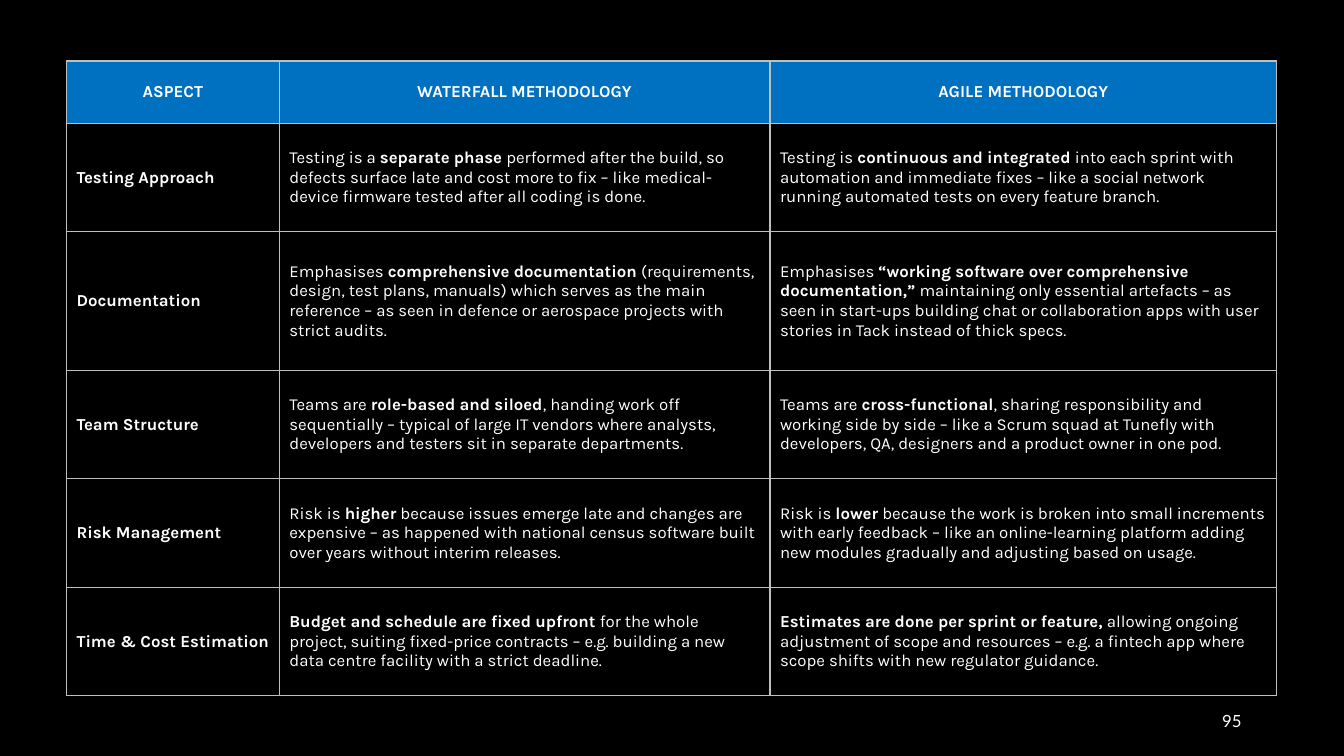
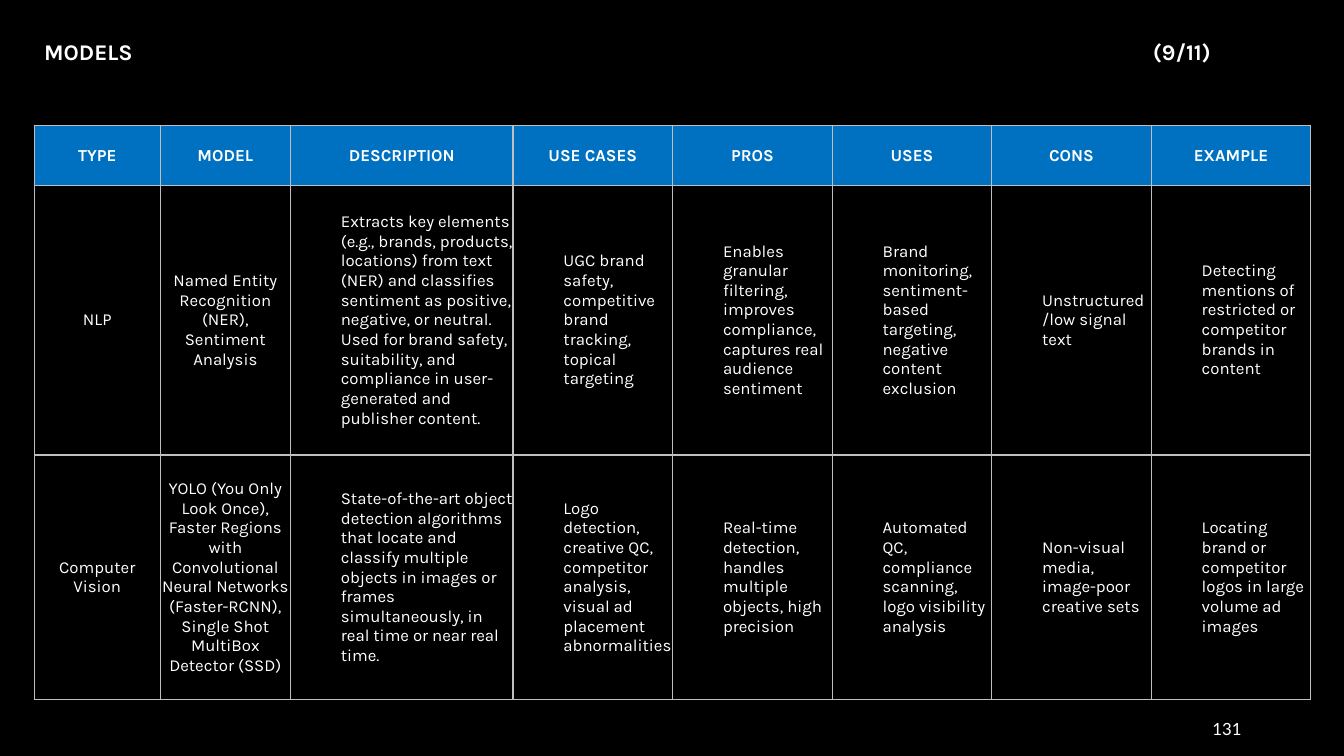
from lxml import etree
from pptx import Presentation
from pptx.dml.color import RGBColor
from pptx.enum import text
from pptx.oxml import ns
from pptx.util import Pt

BLACK = RGBColor(0x00, 0x00, 0x00)
WHITE = RGBColor(0xFF, 0xFF, 0xFF)
BLUE = RGBColor(0x00, 0x70, 0xC0)
GREY = RGBColor(0xBF, 0xBF, 0xBF)
BODY_FONT, NUMBER_FONT = "Karla", "Lato"
LEFT, CENTER, RIGHT = text.PP_ALIGN.LEFT, text.PP_ALIGN.CENTER, text.PP_ALIGN.RIGHT

# Text between double asterisks is bold
METHODS = [
    ["ASPECT", "WATERFALL METHODOLOGY", "AGILE METHODOLOGY"],
    ["**Testing Approach**",
     "Testing is a **separate phase** performed after the build, so defects surface late "
     "and cost more to fix – like medical-device firmware tested after all coding is done.",
     "Testing is **continuous and integrated** into each sprint with automation and "
     "immediate fixes – like a social network running automated tests on every feature "
     "branch."],
    ["**Documentation**",
     "Emphasises **comprehensive documentation** (requirements, design, test plans, "
     "manuals) which serves as the main reference – as seen in defence or aerospace "
     "projects with strict audits.",
     "Emphasises **“working software over comprehensive documentation,”** maintaining "
     "only essential artefacts – as seen in start-ups building chat or collaboration apps "
     "with user stories in Tack instead of thick specs."],
    ["**Team Structure**",
     "Teams are **role-based and siloed**, handing work off sequentially – typical of "
     "large IT vendors where analysts, developers and testers sit in separate departments.",
     "Teams are **cross-functional**, sharing responsibility and working side by side – "
     "like a Scrum squad at Tunefly with developers, QA, designers and a product owner in "
     "one pod."],
    ["**Risk Management**",
     "Risk is **higher** because issues emerge late and changes are expensive – as "
     "happened with national census software built over years without interim releases.",
     "Risk is **lower** because the work is broken into small increments with early "
     "feedback – like an online-learning platform adding new modules gradually and "
     "adjusting based on usage."],
    ["**Time & Cost Estimation**",
     "**Budget and schedule are fixed upfront** for the whole project, suiting "
     "fixed-price contracts – e.g. building a new data centre facility with a strict "
     "deadline.",
     "**Estimates are done per sprint or feature,** allowing ongoing adjustment of scope "
     "and resources – e.g. a fintech app where scope shifts with new regulator guidance."],
]
MODELS = [
    ["TYPE", "MODEL", "DESCRIPTION", "USE CASES", "PROS", "USES", "CONS", "EXAMPLE"],
    ["NLP",
     "Named Entity Recognition (NER), Sentiment Analysis",
     "Extracts key elements (e.g., brands, products, locations) from text (NER) and "
     "classifies sentiment as positive, negative, or neutral. Used for brand safety, "
     "suitability, and compliance in user-generated and publisher content.",
     "UGC brand safety, competitive brand tracking, topical targeting",
     "Enables granular filtering, improves compliance, captures real audience sentiment",
     "Brand monitoring, sentiment-based targeting, negative content exclusion",
     "Unstructured/low signal text",
     "Detecting mentions of restricted or competitor brands in content"],
    ["Computer Vision",
     "YOLO (You Only Look Once), Faster Regions with Convolutional Neural Networks "
     "(Faster-RCNN), Single Shot MultiBox Detector (SSD)",
     "State-of-the-art object detection algorithms that locate and classify multiple "
     "objects in images or frames simultaneously, in real time or near real time.",
     "Logo detection, creative QC, competitor analysis, visual ad placement abnormalities",
     "Real-time detection, handles multiple objects, high precision",
     "Automated QC, compliance scanning, logo visibility analysis",
     "Non-visual media, image-poor creative sets",
     "Locating brand or competitor logos in large volume ad images"],
]


def write(tf, content, font=BODY_FONT, size=12, bold=False, align=LEFT, indent=0, tab=None):
    """Fill the first paragraph; double asterisks switch bold on and off."""
    tf.word_wrap = True
    p = tf.paragraphs[0]
    p.alignment = align
    pPr = p._p.get_or_add_pPr()
    if indent:
        pPr.set("marL", str(Pt(indent)))
        pPr.set("indent", "0")
    if tab:
        stops = etree.SubElement(pPr, ns.qn("a:tabLst"))
        etree.SubElement(stops, ns.qn("a:tab"), pos=str(Pt(tab)), algn="l")
    for i, part in enumerate(content.split("**")):
        if part:
            r = p.add_run()
            r.text = part
            r.font.name, r.font.size = font, Pt(size)
            r.font.bold = bold or i % 2 == 1
            r.font.color.rgb = WHITE


def add_text(s, box, content, **fmt):
    sp = s.shapes.add_textbox(*map(Pt, box))
    sp.text_frame.vertical_anchor = text.MSO_ANCHOR.MIDDLE
    write(sp.text_frame, content, **fmt)


def add_borders(cell):
    tcPr = cell._tc.get_or_add_tcPr()
    for i, side in enumerate(("lnL", "lnR", "lnT", "lnB")):
        ln = etree.Element(ns.qn("a:" + side), w=str(Pt(1)))
        fill = etree.SubElement(ln, ns.qn("a:solidFill"))
        etree.SubElement(fill, ns.qn("a:srgbClr"), val=str(GREY))
        tcPr.insert(i, ln)


def add_grid(s, left, top, widths, heights, rows, centered=0, indent=0, inset=None):
    """Table with a blue header row; the first `centered` body columns are centred."""
    frame = s.shapes.add_table(len(rows), len(widths), Pt(left), Pt(top),
                               Pt(sum(widths)), Pt(sum(heights)))
    table = frame.table
    table.first_row = table.horz_banding = False
    for column, width in zip(table.columns, widths):
        column.width = Pt(width)
    for i, (row, height) in enumerate(zip(rows, heights)):
        table.rows[i].height = Pt(height)
        for j, content in enumerate(row):
            cell = table.cell(i, j)
            cell.vertical_anchor = text.MSO_ANCHOR.MIDDLE
            if inset is not None:
                cell.margin_left = cell.margin_right = Pt(inset)
                cell.margin_top = cell.margin_bottom = Pt(inset)
            header = i == 0
            if header:
                cell.fill.solid()
                cell.fill.fore_color.rgb = BLUE
            else:
                cell.fill.background()
            middle = header or j < centered
            write(cell.text_frame, content, bold=header,
                  align=CENTER if middle else LEFT, indent=0 if middle else indent)
            add_borders(cell)


def add_slide(prs, number, number_height):
    """Black slide with its page number at the bottom right."""
    s = prs.slides.add_slide(prs.slide_layouts[6])
    s.background.fill.solid()
    s.background.fill.fore_color.rgb = BLACK
    add_text(s, (678, 500.5, 216, number_height), number, font=NUMBER_FONT, align=RIGHT)
    return s


def methods_slide(prs):
    s = add_slide(prs, "95", 29)
    add_grid(s, 47.5, 43.5, [152, 350.5, 362], [44.5, 77.5, 99] + [77.5] * 3, METHODS)


def models_slide(prs):
    s = add_slide(prs, "131", 40)
    add_grid(s, 24.5, 89.5, [90, 93, 159] + [114] * 5, [43, 192.5, 175], MODELS,
             centered=2, indent=36, inset=0)
    add_text(s, (24.5, 17.5, 912, 39), "MODELS\t(9/11)", size=16, bold=True, tab=792)


def main():
    prs = Presentation()
    prs.slide_width, prs.slide_height = Pt(960), Pt(540)
    methods_slide(prs)
    models_slide(prs)
    prs.save("out.pptx")


if __name__ == "__main__":
    main()
